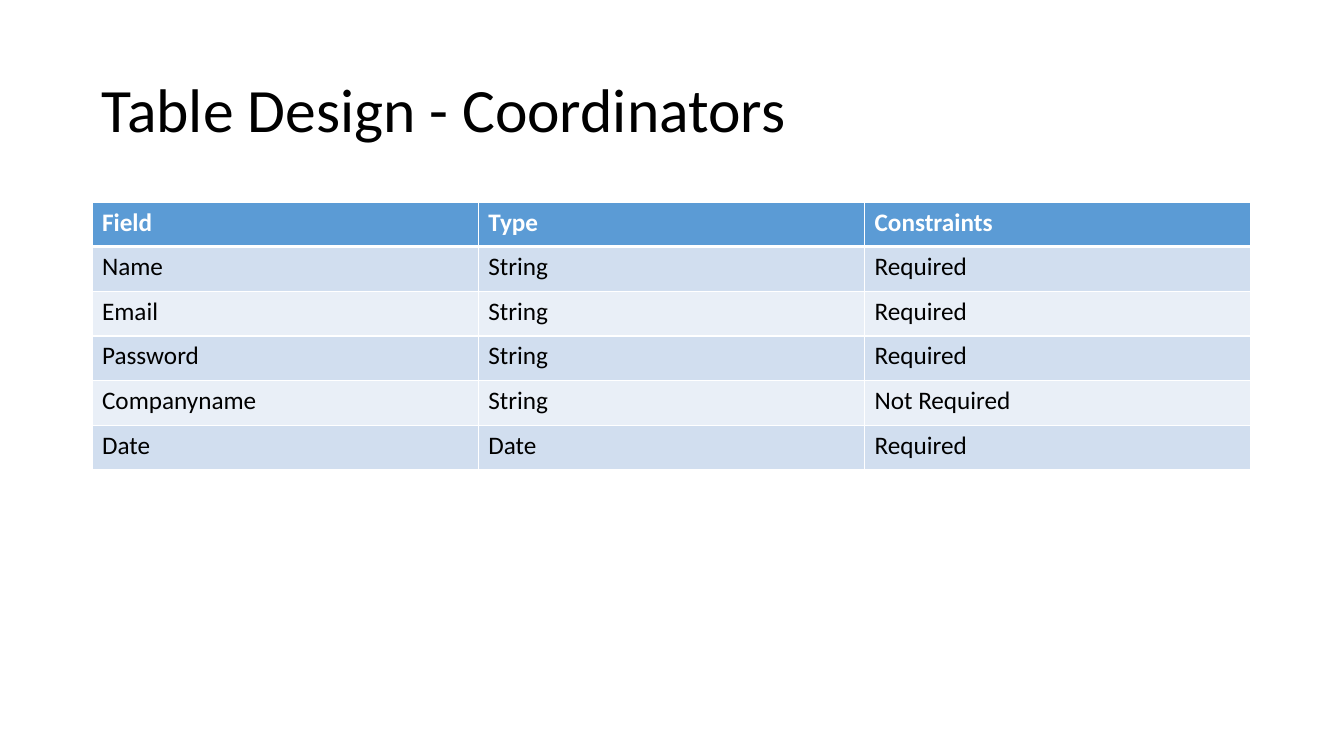
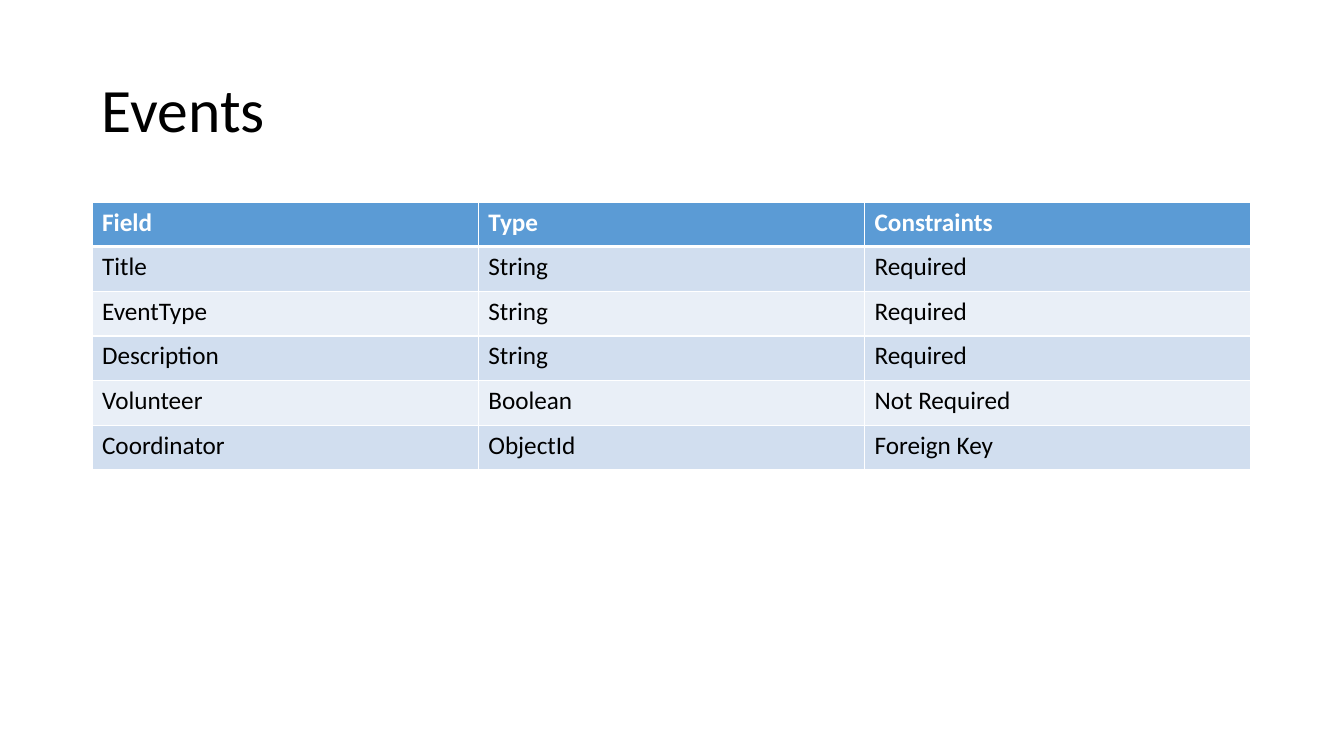
from lxml.etree import SubElement
from pptx import Presentation
from pptx.dml.color import RGBColor
from pptx.enum.text import MSO_ANCHOR
from pptx.oxml.ns import qn
from pptx.util import Pt

PX = 914400 / 100.8
SLIDE_SIZE = (1344, 756)
TITLE_BOX = (92, 40, 1159, 146)
SCHEMA_BOX = (92, 202, 1159, 268)

WHITE = RGBColor(0xFF, 0xFF, 0xFF)
BLACK = RGBColor(0x00, 0x00, 0x00)
HEADER_BLUE = RGBColor(0x5B, 0x9B, 0xD5)
BANDS = (RGBColor(0xE9, 0xEF, 0xF7), RGBColor(0xD1, 0xDE, 0xEF))

TITLE_FONT = {"name": "Calibri", "size": Pt(44), "bold": False}
HEADER_FONT = {"name": "Calibri", "size": Pt(18), "bold": True}
BODY_FONT = {**HEADER_FONT, "bold": False}
THIN, THICK = Pt(0.96), Pt(3)

COLUMNS = ("Field", "Type", "Constraints")
SCHEMAS = {
    "Table Design - Coordinators": (
        ("Name", "String", "Required"),
        ("Email", "String", "Required"),
        ("Password", "String", "Required"),
        ("Companyname", "String", "Not Required"),
        ("Date", "Date", "Required"),
    ),
    "Events": (
        ("Title", "String", "Required"),
        ("EventType", "String", "Required"),
        ("Description", "String", "Required"),
        ("Volunteer", "Boolean", "Not Required"),
        ("Coordinator", "ObjectId", "Foreign Key"),
    ),
}


def emu(*pixels):
    """Turn pixel lengths into EMU."""
    return [round(length * PX) for length in pixels]


def write(paragraph, text, font_format, color):
    """Put one formatted run into a paragraph."""
    run = paragraph.add_run()
    run.text = text
    for attribute, value in font_format.items():
        setattr(run.font, attribute, value)
    run.font.color.rgb = color


def add_title(slide, text, box):
    """Place the slide title, centred vertically in its box."""
    frame = slide.shapes.add_textbox(*emu(*box)).text_frame
    frame.word_wrap = True
    frame.vertical_anchor = MSO_ANCHOR.MIDDLE
    heading = frame.paragraphs[0]
    heading.line_spacing = 0.9
    write(heading, text, TITLE_FONT, BLACK)


def set_borders(cell, top, bottom):
    """Draw white cell borders with the given top and bottom widths."""
    properties = cell._tc.get_or_add_tcPr()
    for side, width in {"L": THIN, "R": THIN, "T": top, "B": bottom}.items():
        border = SubElement(properties, qn(f"a:ln{side}"), w=str(int(width)))
        fill = SubElement(border, qn("a:solidFill"))
        SubElement(fill, qn("a:srgbClr"), val=str(WHITE))


def add_schema(slide, fields, box):
    """Fill the box with a header row and banded field rows."""
    rows = (COLUMNS, *fields)
    left, top, width, height = emu(*box)
    table = slide.shapes.add_table(
        len(rows), len(COLUMNS), left, top, width, height).table
    for column in table.columns:
        column.width = width // len(COLUMNS)
    for row_index, values in enumerate(rows):
        table.rows[row_index].height = height // len(rows)
        is_header = row_index == 0
        fill = HEADER_BLUE if is_header else BANDS[row_index % 2]
        font_format = HEADER_FONT if is_header else BODY_FONT
        for column_index, value in enumerate(values):
            cell = table.cell(row_index, column_index)
            set_borders(cell, THICK if row_index == 1 else THIN,
                        THICK if is_header else THIN)
            cell.fill.solid()
            cell.fill.fore_color.rgb = fill
            write(cell.text_frame.paragraphs[0], value, font_format,
                  WHITE if is_header else BLACK)


def add_schema_slide(deck, title, fields):
    """Add a slide with a title above a schema table."""
    slide = deck.slides.add_slide(deck.slide_layouts[6])
    add_title(slide, title, TITLE_BOX)
    add_schema(slide, fields, SCHEMA_BOX)


def main():
    """Build and save the deck."""
    deck = Presentation()
    deck.slide_width, deck.slide_height = emu(*SLIDE_SIZE)
    for title, fields in SCHEMAS.items():
        add_schema_slide(deck, title, fields)
    deck.save("out.pptx")


main()
